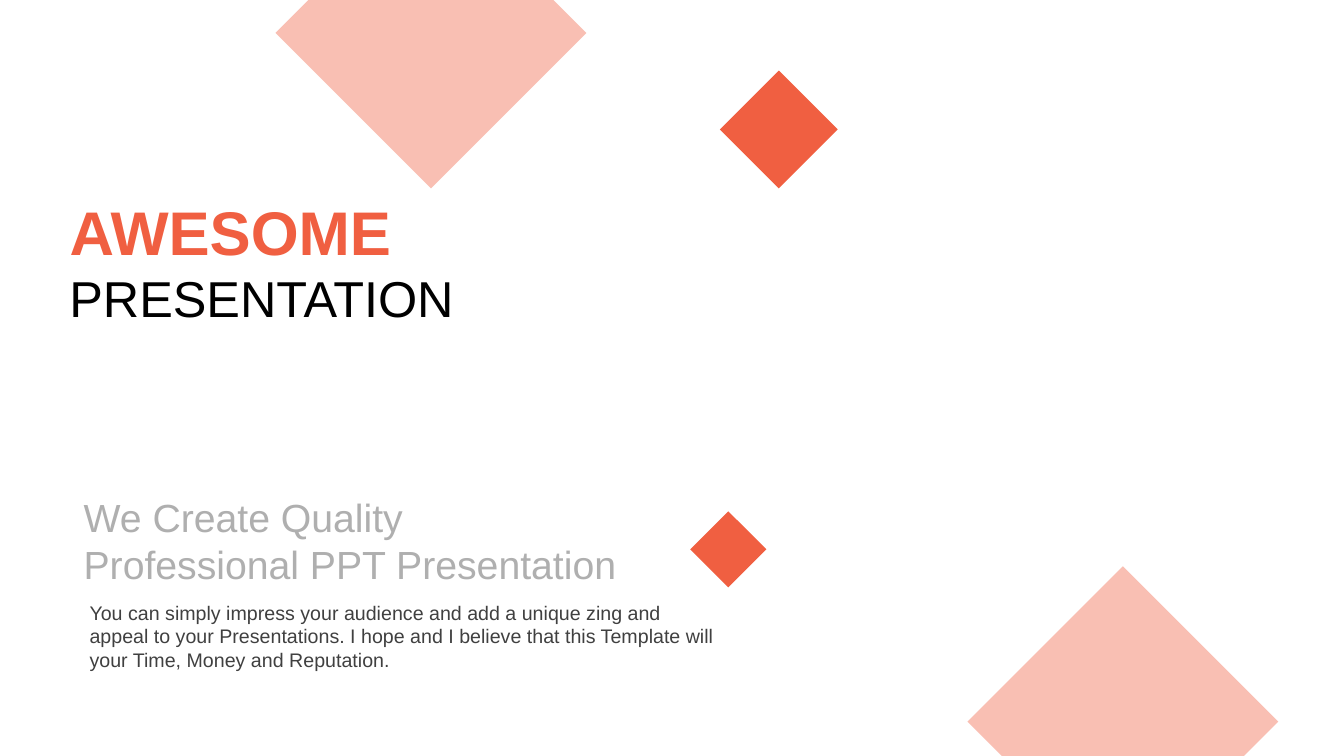
from dataclasses import dataclass

from lxml.etree import SubElement
from pptx import Presentation
from pptx.dml.color import RGBColor
from pptx.enum.shapes import MSO_SHAPE
from pptx.enum.text import MSO_ANCHOR, MSO_AUTO_SIZE, PP_ALIGN
from pptx.oxml.ns import qn
from pptx.util import Pt


@dataclass(frozen=True)
class Theme:
    font: str = "Arial"
    accent: RGBColor = RGBColor(0xF0, 0x5F, 0x41)
    black: RGBColor = RGBColor(0, 0, 0)
    grey: RGBColor = RGBColor(0xAF, 0xAF, 0xAF)
    dark: RGBColor = RGBColor(0x40, 0x40, 0x40)
    title_size: int = 44
    subtitle_size: int = 36
    tagline_size: int = 28
    body_size: int = 14


theme = Theme()
SLIDE_WIDTH, SLIDE_HEIGHT = 960, 540

presentation = Presentation()
presentation.slide_width = Pt(SLIDE_WIDTH)
presentation.slide_height = Pt(SLIDE_HEIGHT)
slide = presentation.slides.add_slide(presentation.slide_layouts[5])


def write_text(text, box, size, color, bold=False, anchor=MSO_ANCHOR.MIDDLE,
               side_inset=7.2, end_inset=3.6, shape=None):
    """Write text into a given shape, or into a new text box."""
    left, top, width, height = map(Pt, box)
    if shape is None:
        shape = slide.shapes.add_textbox(left, top, width, height)
    shape.left, shape.top, shape.width, shape.height = left, top, width, height
    frame = shape.text_frame
    frame.text = text
    frame.word_wrap = True
    frame.auto_size = MSO_AUTO_SIZE.NONE
    frame.vertical_anchor = anchor
    frame.margin_left = frame.margin_right = Pt(side_inset)
    frame.margin_top = frame.margin_bottom = Pt(end_inset)
    for paragraph in frame.paragraphs:
        paragraph.alignment = PP_ALIGN.LEFT
        paragraph.font.name = theme.font
        paragraph.font.size = Pt(size)
        paragraph.font.bold = bold
        paragraph.font.color.rgb = color


def paint(shape, opacity=100):
    """Give a shape the accent fill, without line or shadow."""
    shape.shadow.inherit = False
    shape.line.fill.background()
    shape.fill.solid()
    shape.fill.fore_color.rgb = theme.accent
    if opacity < 100:
        color = shape.fill._xPr.find(qn("a:solidFill"))[0]
        SubElement(color, qn("a:alpha"), val=str(opacity * 1000))


# Title and subtitle
write_text("AWESOME", (42.5, 134.6, 301, 60.5), theme.title_size, theme.accent,
           bold=True, shape=slide.shapes.title)
write_text("PRESENTATION", (42.5, 186.5, 301, 51.1), theme.subtitle_size, theme.black)

# Tagline and body text
write_text("We Create Quality\nProfessional PPT Presentation", (56.9, 352.1, 410.4, 67.7),
           theme.tagline_size, theme.grey, side_inset=2.9, end_inset=0)
write_text("You can simply impress your audience and add a unique zing and appeal to your "
           "Presentations. I hope and I believe that this Template will your Time, Money "
           "and Reputation.", (56.9, 425.5, 463.7, 58.3),
           theme.body_size, theme.dark, anchor=MSO_ANCHOR.TOP)

# Small solid diamonds
for left, top, size in ((514.2, 50.4, 84.2), (493, 365.2, 54.4)):
    paint(slide.shapes.add_shape(MSO_SHAPE.DIAMOND, Pt(left), Pt(top), Pt(size), Pt(size)))

# Large pale diamonds, cut off by the slide edge
HALF = 111
for center_x, center_y, edge, tip in (
    (307.8, 23.6, 0, 23.6 + HALF),
    (802.1, 515.5, SLIDE_HEIGHT, 515.5 - HALF),
):
    cut = HALF - abs(edge - center_y)
    corners = [(center_x + cut, edge), (center_x + HALF, center_y), (center_x, tip),
               (center_x - HALF, center_y)]
    builder = slide.shapes.build_freeform(Pt(center_x - cut), Pt(edge))
    builder.add_line_segments([(Pt(x), Pt(y)) for x, y in corners], close=True)
    paint(builder.convert_to_shape(), opacity=40)

presentation.save("out.pptx")
